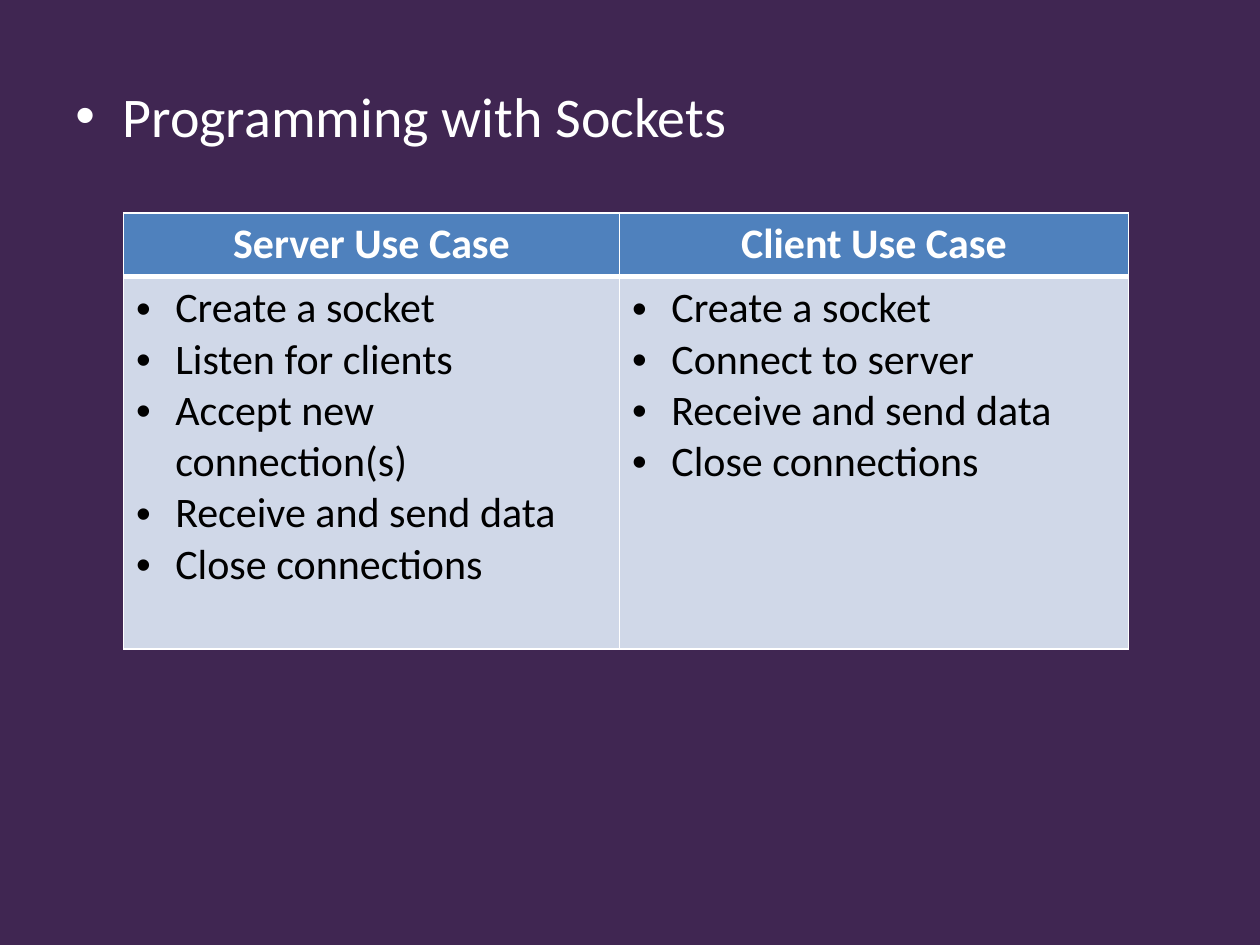
from lxml import etree
from pptx import Presentation, util as u
from pptx.dml.color import RGBColor
from pptx.enum import text
from pptx.oxml import ns

TITLE = "Programming with Sockets"
CASES = {
    "Server Use Case": [
        "Create a socket", "Listen for clients", "Accept new connection(s)",
        "Receive and send data", "Close connections",
    ],
    "Client Use Case": [
        "Create a socket", "Connect to server", "Receive and send data",
        "Close connections",
    ],
}

THEME = {
    "back": "402652", "head": "4F81BD", "body": "D0D8E8", "rule": "FFFFFF",
    "title": {"name": "Calibri", "size": u.Pt(32), "color": "FFFFFF"},
    "label": {"name": "Calibri", "size": u.Pt(24), "bold": True,
              "color": "FFFFFF"},
    "item": {"name": "Calibri", "size": u.Pt(24), "bold": False,
             "color": "000000"},
}
WIDTHS = [u.Cm(10), u.Cm(10.26)]
HEIGHTS = [u.Cm(1.29), u.Cm(7.5)]
THIN, THICK = u.Pt(1), u.Pt(3)


def paint(fill, color):
    fill.solid()
    fill.fore_color.rgb = RGBColor.from_string(color)


def style(font, look):
    for key, val in look.items():
        if key == "color":
            font.color.rgb = RGBColor.from_string(val)
        else:
            setattr(font, key, val)


def write(frame, lines, look, indent=None):
    """Fill a text frame; an indent makes each line a hanging bullet."""
    for num, line in enumerate(lines):
        para = frame.paragraphs[0] if num == 0 else frame.add_paragraph()
        if indent:
            props = para._p.get_or_add_pPr()
            props.set("marL", str(indent))
            props.set("indent", str(-indent))
            etree.SubElement(props, ns.qn("a:buFont"), typeface="Arial")
            etree.SubElement(props, ns.qn("a:buChar"), char="•")
        else:
            para.alignment = text.PP_ALIGN.CENTER
        run = para.add_run()
        run.text = line
        style(run.font, look)


def edge(cell, sides):
    """Draw cell borders; sides maps L, R, T, B, in that order, to widths."""
    props = cell._tc.get_or_add_tcPr()
    for num, (side, width) in enumerate(sides.items()):
        line = etree.Element(ns.qn("a:ln" + side), w=str(width))
        fill = etree.SubElement(line, ns.qn("a:solidFill"))
        etree.SubElement(fill, ns.qn("a:srgbClr"), val=THEME["rule"])
        props.insert(num, line)


def main():
    deck = Presentation()
    deck.slide_width, deck.slide_height = u.Cm(25.4), u.Cm(19.05)
    slide = deck.slides.add_slide(deck.slide_layouts[6])
    paint(slide.background.fill, THEME["back"])

    box = slide.shapes.add_textbox(u.Cm(1.27), u.Cm(1.52),
                                   u.Cm(22.86), u.Cm(14.5))
    box.text_frame.word_wrap = True
    write(box.text_frame, [TITLE], THEME["title"], u.Cm(0.95))

    table = slide.shapes.add_table(2, len(CASES), u.Cm(2.49), u.Cm(4.29),
                                   sum(WIDTHS), sum(HEIGHTS)).table
    for row, high in zip(table.rows, HEIGHTS):
        row.height = high
    for col, (label, items) in enumerate(CASES.items()):
        table.columns[col].width = WIDTHS[col]
        head, body = table.cell(0, col), table.cell(1, col)
        write(head.text_frame, [label], THEME["label"])
        write(body.text_frame, items, THEME["item"], u.Cm(0.79))
        paint(head.fill, THEME["head"])
        paint(body.fill, THEME["body"])
        edge(head, {"L": THIN, "R": THIN, "T": THIN, "B": THICK})
        edge(body, {"L": THIN, "R": THIN, "T": THICK, "B": THIN})

    deck.save("out.pptx")


if __name__ == "__main__":
    main()
